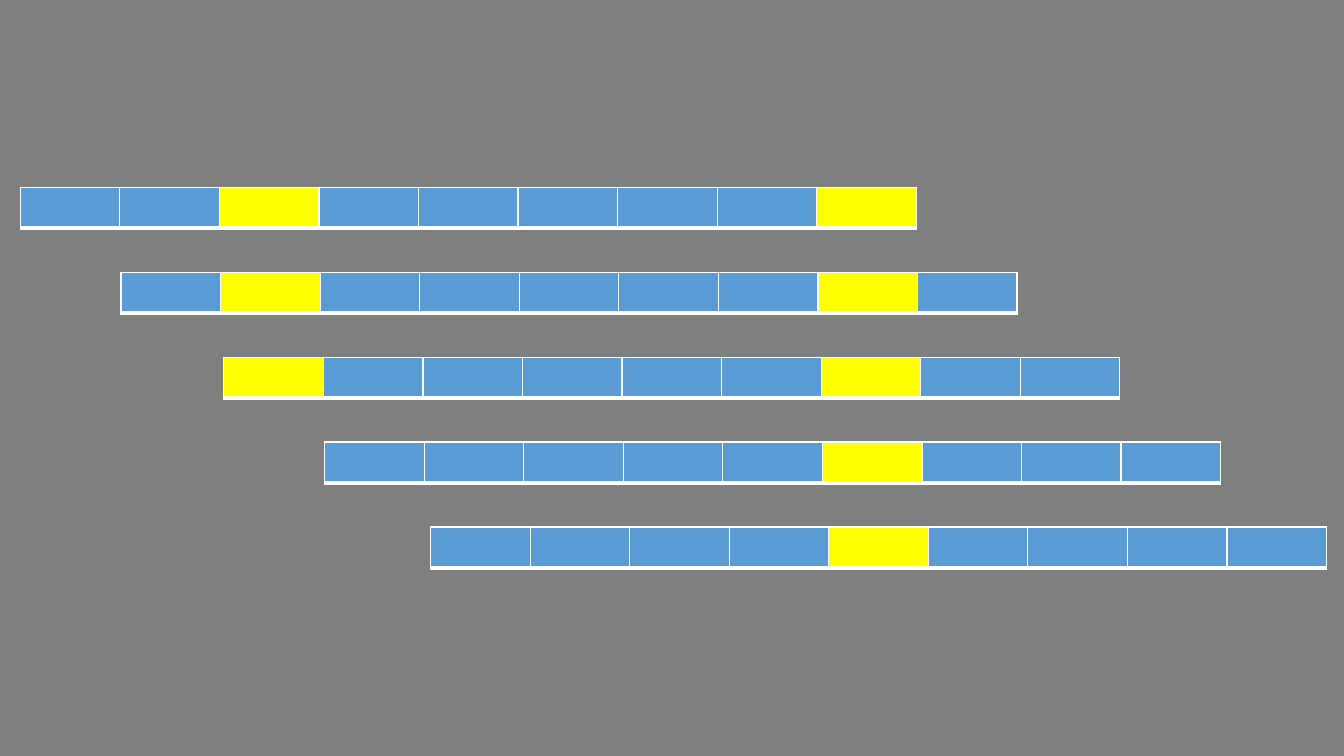
from lxml.etree import SubElement
from pptx import Presentation
from pptx.dml.color import RGBColor as RGB
from pptx.enum.shapes import MSO_SHAPE as SHAPE
from pptx.oxml.ns import qn
from pptx.util import Cm, Pt

COLORS = {"shade": "000000", "cell": "5B9BD5", "mark": "FFFF00", "border": "FFFFFF"}
BORDERS = {"a:lnL": 1, "a:lnR": 1, "a:lnT": 1, "a:lnB": 3}  # points

COLS, COL_W, ROW_H = 9, 2.51, 1.03
TOP, STEP = 4.72, 2.14
# Left edge of each strip and the columns marked in it
STRIPS = [
    (0.51, {2, 8}),
    (3.05, {1, 7}),
    (5.64, {0, 6}),
    (8.18, {5}),
    (10.85, {4}),
]


def add_solid(parent, color):
    fill = SubElement(parent, qn("a:solidFill"))
    return SubElement(fill, qn("a:srgbClr"), val=color)


prs = Presentation()
prs.slide_width, prs.slide_height = Cm(33.87), Cm(19.05)
s = prs.slides.add_slide(prs.slide_layouts[6])

# Half-transparent shade over the whole slide
shade = s.shapes.add_shape(SHAPE.RECTANGLE, Cm(-0.18), Cm(-0.03), Cm(34.21), Cm(19.08))
shade.shadow.inherit = False
shade.line.fill.background()
shade.fill.solid()
shade.fill.fore_color.rgb = RGB.from_string(COLORS["shade"])
color = shade.fill._xPr.find(qn("a:solidFill"))[0]
SubElement(color, qn("a:alpha"), val="50000")

# Staggered one-row strips
for i, (left, marked) in enumerate(STRIPS):
    frame = s.shapes.add_table(1, COLS, Cm(left), Cm(TOP + i * STEP),
                               Cm(COLS * COL_W), Cm(ROW_H))
    table = frame.table
    table.rows[0].height = Cm(ROW_H)
    for col in range(COLS):
        table.columns[col].width = Cm(COL_W)
        cell = table.cell(0, col)
        # Borders come before the fill in the cell properties
        tcPr = cell._tc.get_or_add_tcPr()
        for side, width in BORDERS.items():
            ln = SubElement(tcPr, qn(side), w=str(Pt(width)))
            add_solid(ln, COLORS["border"])
        cell.fill.solid()
        cell.fill.fore_color.rgb = RGB.from_string(COLORS["mark" if col in marked else "cell"])

prs.save("out.pptx")
